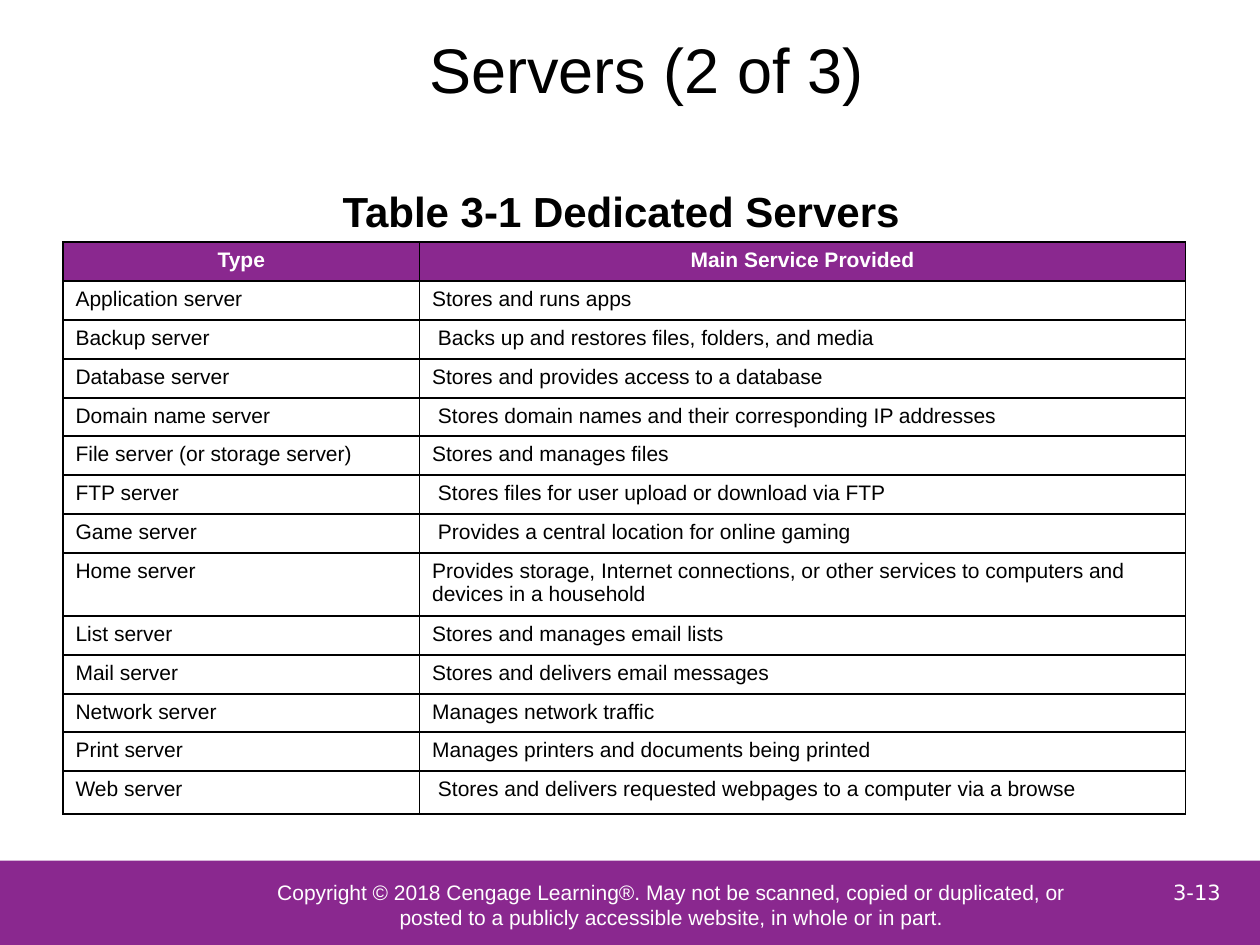
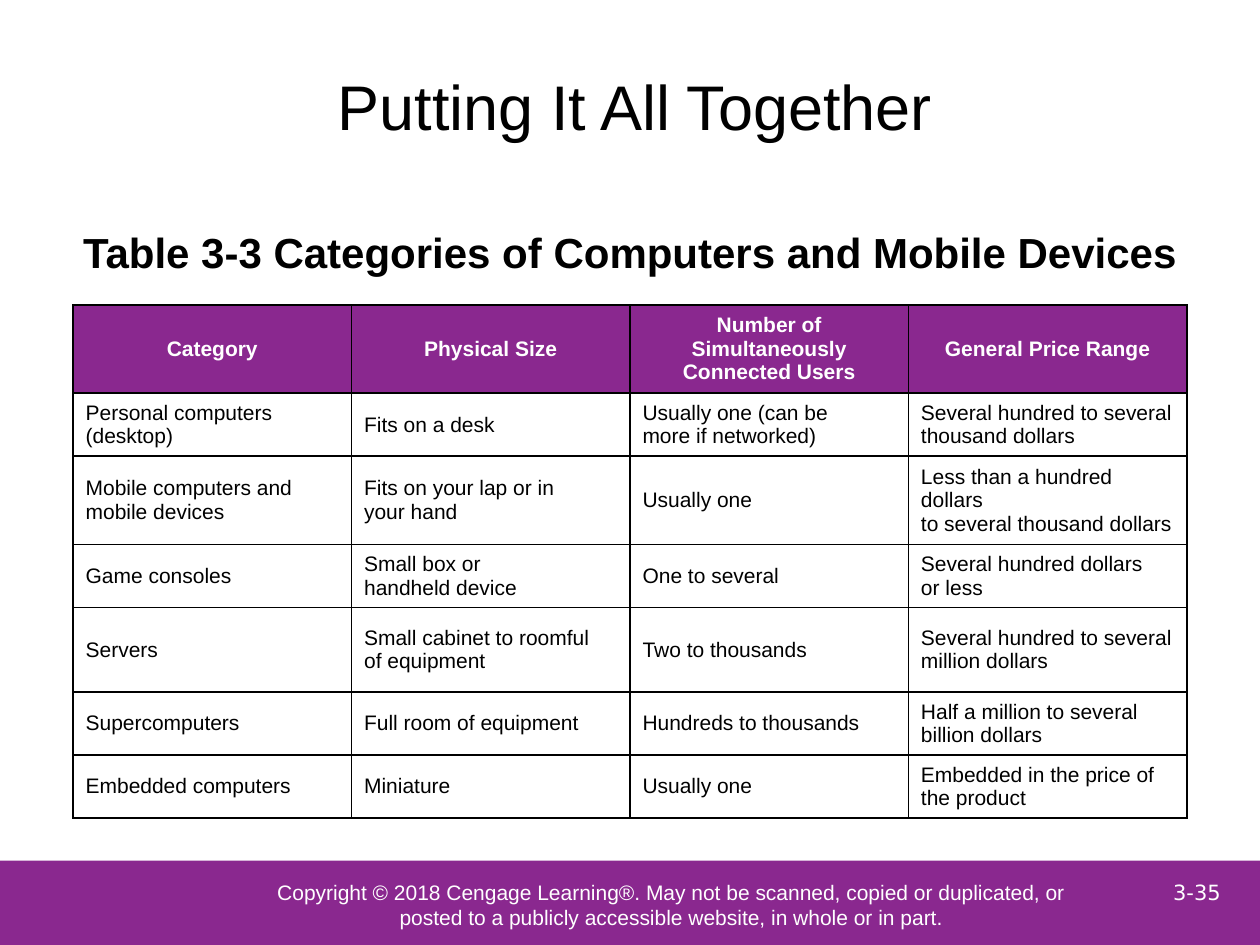
"""Build two slides with tables of servers and computer categories."""
from lxml import etree
from pptx import Presentation
from pptx.dml.color import RGBColor
from pptx.enum.shapes import MSO_SHAPE
from pptx.enum.text import MSO_ANCHOR, MSO_AUTO_SIZE, PP_ALIGN
from pptx.oxml.ns import qn
from pptx.util import Inches, Pt

RECT = MSO_SHAPE.RECTANGLE
TOP, MID = MSO_ANCHOR.TOP, MSO_ANCHOR.MIDDLE
LEFT, CENTER = PP_ALIGN.LEFT, PP_ALIGN.CENTER
FIXED = MSO_AUTO_SIZE.NONE
PURPLE, WHITE, BLACK = "8A288F", "FFFFFF", "000000"
NOTICE = (
    "Copyright © 2018 Cengage Learning®. May not be scanned, copied or "
    "duplicated, or posted to a publicly accessible website, in whole or in part."
)

SERVERS = [
    ("Type", "Main Service Provided"),
    ("Application server", "Stores and runs apps"),
    ("Backup server", " Backs up and restores files, folders, and media"),
    ("Database server", "Stores and provides access to a database"),
    ("Domain name server", " Stores domain names and their corresponding IP addresses"),
    ("File server (or storage server)", "Stores and manages files"),
    ("FTP server", " Stores files for user upload or download via FTP"),
    ("Game server", " Provides a central location for online gaming"),
    ("Home server", "Provides storage, Internet connections, or other services "
                    "to computers and devices in a household"),
    ("List server", "Stores and manages email lists"),
    ("Mail server", "Stores and delivers email messages"),
    ("Network server", "Manages network traffic"),
    ("Print server", "Manages printers and documents being printed"),
    ("Web server", " Stores and delivers requested webpages to a computer via a browse"),
]
DEVICES = [
    ("Category", "Physical Size", "Number of\nSimultaneously\nConnected Users",
     "General Price Range"),
    ("Personal computers\n(desktop)", "Fits on a desk",
     "Usually one (can be\nmore if networked)",
     "Several hundred to several\nthousand dollars"),
    ("Mobile computers and\nmobile devices", "Fits on your lap or in\nyour hand",
     "Usually one", "Less than a hundred dollars\nto several thousand dollars"),
    ("Game consoles", "Small box or\nhandheld device", "One to several",
     "Several hundred dollars\nor less"),
    ("Servers", "Small cabinet to roomful\nof equipment", "Two to thousands",
     "Several hundred to several million dollars"),
    ("Supercomputers", "Full room of equipment", "Hundreds to thousands",
     "Half a million to several\nbillion dollars"),
    ("Embedded computers", "Miniature", "Usually one",
     "Embedded in the price of the product"),
]


def color(code):
    return RGBColor.from_string(code)


def box(*sides):
    return [Inches(side) for side in sides]


def write(frame, text, size=12, ink=BLACK, bold=False, align=CENTER, font="Arial"):
    frame.word_wrap = True
    for i, line in enumerate(text.split("\n")):
        para = frame.add_paragraph() if i else frame.paragraphs[0]
        para.alignment = align
        para.space_before = Pt(0)
        run = para.add_run()
        run.text = line
        run.font.name = font
        run.font.size = Pt(size)
        run.font.bold = bold
        run.font.color.rgb = color(ink)


def block(slide, area):
    shape = slide.shapes.add_shape(RECT, *box(*area))
    shape.shadow.inherit = False
    shape.fill.solid()
    shape.fill.fore_color.rgb = color(PURPLE)
    shape.line.fill.background()
    return shape


def footer(slide, number):
    block(slide, (-0.01, 6.83, 10.01, 0.68))
    frame = block(slide, (2.08, 6.89, 6.5, 0.58)).text_frame
    frame.margin_left = frame.margin_right = 0
    frame.margin_top = frame.margin_bottom = 0
    frame.vertical_anchor = MID
    write(frame, NOTICE, ink=WHITE)
    page = slide.shapes.add_textbox(*box(9, 6.83, 1, 0.5)).text_frame
    page.vertical_anchor = MID
    write(page, number, ink=WHITE, font="DejaVu Sans")


def place(holder, area, anchor, text, **style):
    holder.left, holder.top, holder.width, holder.height = box(*area)
    frame = holder.text_frame
    frame.auto_size = FIXED
    frame.vertical_anchor = anchor
    write(frame, text, **style)


def caption(holder, area, text):
    place(holder, area, TOP, text, size=24, bold=True)
    props = holder.text_frame.paragraphs[0]._p.get_or_add_pPr()
    props.set("marL", "0")
    props.set("indent", "0")
    etree.SubElement(props, qn("a:buNone"))


def border(cell):
    props = cell._tc.get_or_add_tcPr()
    for side in ("lnL", "lnR", "lnT", "lnB"):
        line = etree.SubElement(props, qn(f"a:{side}"), w=str(Pt(1)))
        fill = etree.SubElement(line, qn("a:solidFill"))
        etree.SubElement(fill, qn("a:srgbClr"), val=BLACK)


def grid(slide, left, top, cols, rows, data, anchor):
    area = box(left, top, sum(cols), sum(rows))
    table = slide.shapes.add_table(len(rows), len(cols), *area).table
    table.horz_banding = False
    for col, width in zip(table.columns, cols):
        col.width = Inches(width)
    for r, (height, texts) in enumerate(zip(rows, data)):
        table.rows[r].height = Inches(height)
        for c, text in enumerate(texts):
            cell = table.cell(r, c)
            cell.vertical_anchor = anchor
            border(cell)
            if r == 0:
                cell.fill.solid()
                cell.fill.fore_color.rgb = color(PURPLE)
                write(cell.text_frame, text, ink=WHITE, bold=True)
            else:
                cell.fill.background()
                write(cell.text_frame, text, align=LEFT)


def page(deck, number, title, area):
    slide = deck.slides.add_slide(deck.slide_layouts[1])
    footer(slide, number)
    place(slide.shapes.title, area, MID, title, size=36)
    return slide


def main():
    deck = Presentation()
    deck.slide_width, deck.slide_height = box(10, 7.5)

    slide = page(deck, "3-13", "Servers (2 of 3)", (0.42, 0.17, 9.42, 0.75))
    caption(slide.placeholders[1], (0.53, 1.42, 8.8, 0.5),
            "Table 3-1 Dedicated Servers")
    rows = [0.31] * 4 + [0.29] + [0.31] * 3 + [0.47, 0.31, 0.31, 0.29, 0.31, 0.34]
    grid(slide, 0.5, 1.92, [2.83, 6.08], rows, SERVERS, TOP)

    slide = page(deck, "3-35", "Putting It All Together", (0.33, 0.17, 9.42, 1.33))
    caption(slide.placeholders[1], (0.25, 1.75, 9.5, 0.55),
            "Table 3-3 Categories of Computers and Mobile Devices")
    rows = [0.69, 0.48, 0.67, 0.5, 0.67, 0.48, 0.48]
    grid(slide, 0.58, 2.42, [2.21] * 4, rows, DEVICES, MID)

    deck.save("out.pptx")


if __name__ == "__main__":
    main()
